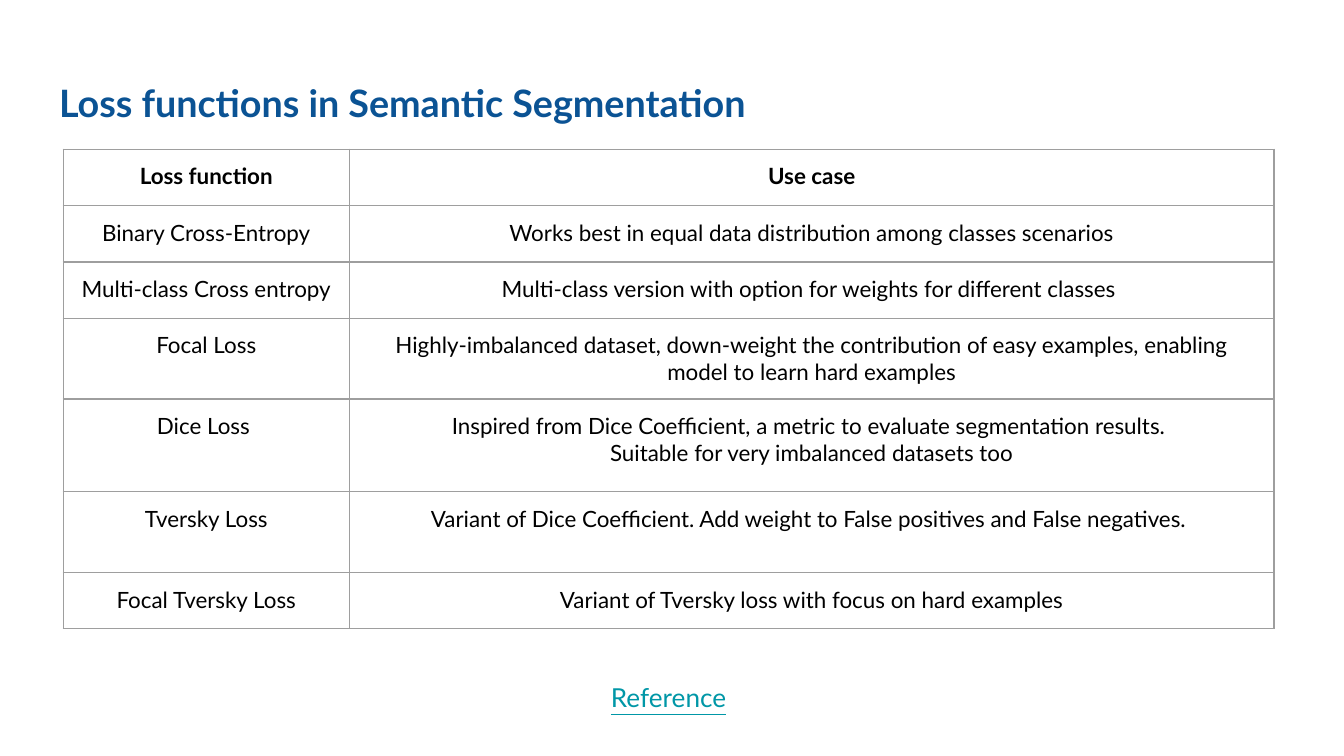
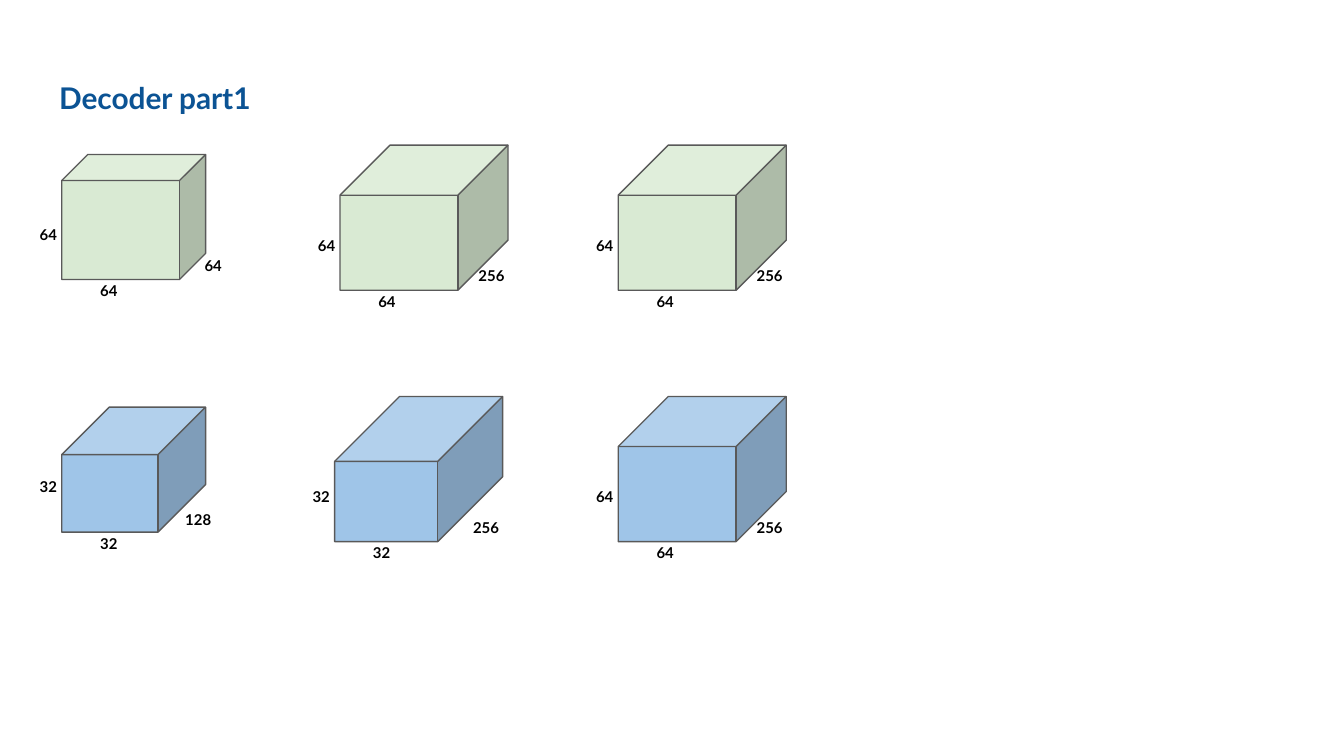
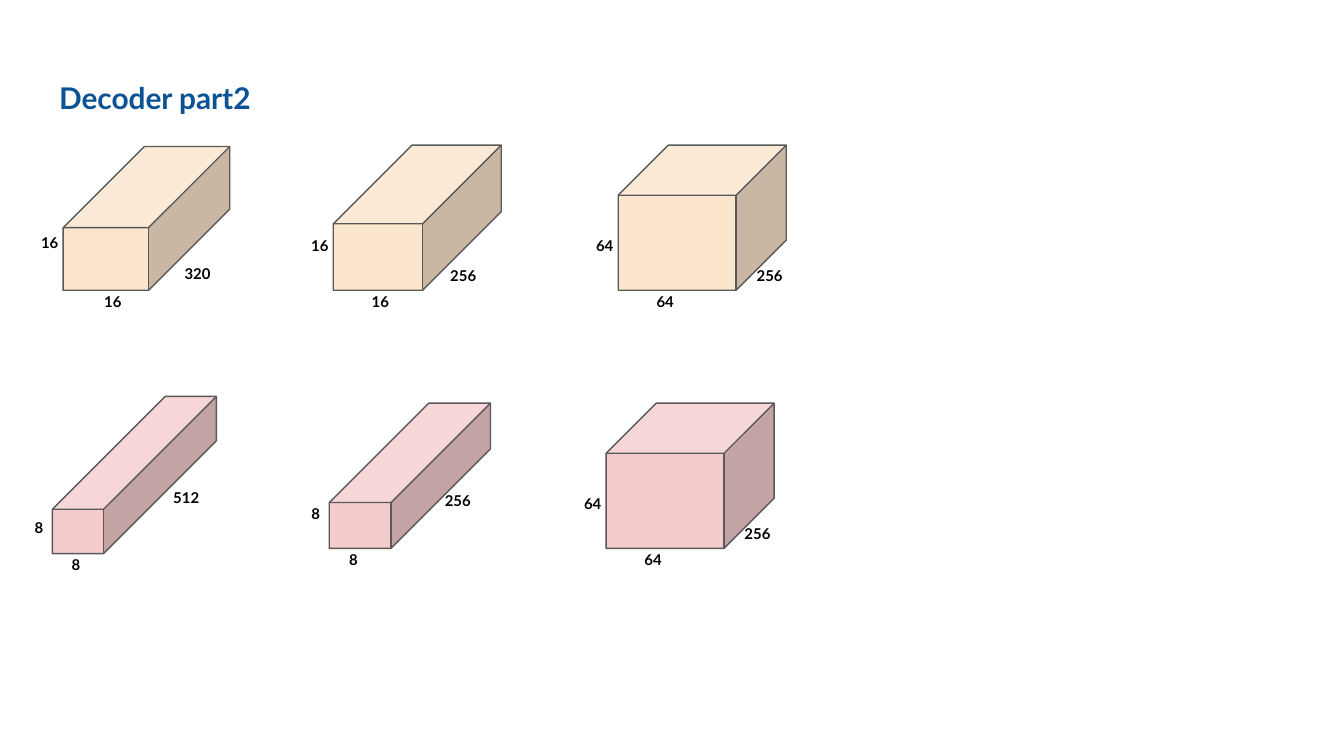
from dataclasses import dataclass

from lxml.etree import SubElement
from pptx import Presentation
from pptx.dml.color import RGBColor
from pptx.enum.shapes import MSO_SHAPE
from pptx.enum.text import MSO_ANCHOR, MSO_AUTO_SIZE, PP_ALIGN
from pptx.oxml.ns import qn
from pptx.util import Inches, Pt

FONT = "Lato"
NAVY = RGBColor(0x0B, 0x53, 0x94)
TEAL = RGBColor(0x00, 0x97, 0xA7)
BLACK = RGBColor(0, 0, 0)
EDGE = RGBColor(0x59, 0x59, 0x59)
RULE = RGBColor(0x9E, 0x9E, 0x9E)
GREEN = RGBColor(0xD9, 0xEA, 0xD3)
BLUE = RGBColor(0x9F, 0xC5, 0xE8)
PEACH = RGBColor(0xFC, 0xE5, 0xCD)
PINK = RGBColor(0xF4, 0xCC, 0xCC)

COLS = [2.13, 6.88]
ROWS = [0.42, 0.42, 0.42, 0.6, 0.69, 0.6, 0.42]
LOSSES = [
    ("Loss function", "Use case"),
    ("Binary Cross-Entropy",
     "Works best in equal data distribution among classes scenarios"),
    ("Multi-class Cross entropy",
     "Multi-class version with option for weights for different classes "),
    ("Focal Loss",
     "Highly-imbalanced dataset, down-weight the contribution of easy "
     "examples, enabling model to learn hard examples"),
    ("Dice Loss ",
     "Inspired from Dice Coefficient, a metric to evaluate segmentation "
     "results. \nSuitable for very imbalanced datasets too"),
    ("Tversky Loss",
     "Variant of Dice Coefficient. Add weight to False positives and "
     "False negatives. "),
    (" Focal Tversky Loss ",
     "Variant of Tversky loss with focus on hard examples"),
]


@dataclass
class Block:
    left: float
    top: float
    side: int
    depth: int
    fill: RGBColor
    slant: float = 0.345
    width: float = 1.25
    height: float = 1.08
    rise: float = 0.47
    foot: float = 0.18
    deep_x: float = 0.9
    deep_y: float = 0.24
    label: float = 0.34
    align: PP_ALIGN = PP_ALIGN.CENTER


PART_ONE = [
    Block(0.46, 1.15, 64, 64, GREEN, 0.208, 1.07, 0.93),
    Block(2.53, 1.08, 64, 256, GREEN),
    Block(4.6, 1.08, 64, 256, GREEN),
    Block(0.46, 3.03, 32, 128, BLUE, 0.38, 1.07, 0.93,
          deep_x=0.82, deep_y=0.23, align=PP_ALIGN.LEFT),
    Block(2.49, 2.95, 32, 256, BLUE, 0.447),
    Block(4.6, 2.95, 64, 256, BLUE),
]
PART_TWO = [
    Block(0.47, 1.09, 16, 320, PEACH, 0.565, 1.24, 1.07, rise=0.49,
          foot=0.19, deep_x=0.76, deep_y=0.26, label=0.36),
    Block(2.48, 1.08, 16, 256, PEACH, 0.542, deep_x=0.74),
    Block(4.6, 1.08, 64, 256, PEACH),
    Block(0.39, 2.95, 8, 512, PINK, 0.718, 1.22, 1.17, rise=0.33,
          foot=-0.02, deep_x=0.8, deep_y=0.55, label=0.39,
          align=PP_ALIGN.LEFT),
    Block(2.45, 3, 8, 256, PINK, 0.685, 1.2, rise=0.39, foot=0.01,
          deep_x=0.73, deep_y=0.49),
    Block(4.51, 3, 64, 256, PINK),
]


def set_text(frame, text, size, color, bold=False, align=PP_ALIGN.CENTER):
    frame.text = text
    for para in frame.paragraphs:
        para.alignment = align
        font = para.font
        font.name = FONT
        font.size = Pt(size)
        font.bold = bold
        font.color.rgb = color


def set_frame(frame, fit):
    frame.word_wrap = True
    frame.auto_size = fit
    frame.vertical_anchor = MSO_ANCHOR.TOP
    frame.margin_left = frame.margin_right = Inches(0.1)
    frame.margin_top = frame.margin_bottom = Inches(0.1)


def add_page(deck, title, size, width, height):
    page = deck.slides.add_slide(deck.slide_layouts[5])
    head = page.shapes.title
    head.left, head.top = Inches(0.34), Inches(0.49)
    head.width, head.height = Inches(width), Inches(height)
    set_frame(head.text_frame, MSO_AUTO_SIZE.NONE)
    set_text(head.text_frame, title, size, NAVY, True, PP_ALIGN.LEFT)
    return page


def add_label(shapes, text, left, top, width, height=0.34, size=8,
              color=BLACK, bold=True, align=PP_ALIGN.CENTER):
    box = shapes.add_textbox(
        Inches(left), Inches(top), Inches(width), Inches(height))
    set_frame(box.text_frame, MSO_AUTO_SIZE.SHAPE_TO_FIT_TEXT)
    set_text(box.text_frame, text, size, color, bold, align)
    return box


def add_rules(cell):
    props = cell._tc.get_or_add_tcPr()
    for spot, tag in enumerate(("a:lnL", "a:lnR", "a:lnT", "a:lnB")):
        line = SubElement(props, qn(tag), w=str(Pt(0.75)))
        fill = SubElement(line, qn("a:solidFill"))
        SubElement(fill, qn("a:srgbClr"), val=str(RULE))
        props.insert(spot, line)


def add_grid(page):
    grid = page.shapes.add_table(
        len(ROWS), len(COLS), Inches(0.47), Inches(1.11),
        Inches(sum(COLS)), Inches(sum(ROWS))).table
    grid.first_row = grid.horz_banding = False
    for col, width in zip(grid.columns, COLS):
        col.width = Inches(width)
    for row, height, texts in zip(grid.rows, ROWS, LOSSES):
        row.height = Inches(height)
        for cell, text in zip(row.cells, texts):
            cell.fill.background()
            cell.margin_left = cell.margin_right = Inches(0.1)
            cell.margin_top = cell.margin_bottom = Inches(0.1)
            set_text(cell.text_frame, text, 12, BLACK, texts is LOSSES[0])
            add_rules(cell)


def add_block(page, block):
    shapes = page.shapes.add_group_shape().shapes
    cube = shapes.add_shape(
        MSO_SHAPE.CUBE, Inches(block.left), Inches(block.top),
        Inches(block.width), Inches(block.height))
    cube.adjustments[0] = block.slant
    cube.shadow.inherit = False
    cube.fill.solid()
    cube.fill.fore_color.rgb = block.fill
    cube.line.color.rgb = EDGE
    cube.line.width = Pt(0.75)

    base = block.top + block.height
    side = str(block.side)
    add_label(shapes, side, block.left - 0.1 - block.label / 2,
              base - block.rise, block.label)
    add_label(shapes, side, block.left + block.foot, base - 0.05, block.label)
    add_label(shapes, str(block.depth), block.left + block.deep_x,
              base - block.deep_y, block.label * 4 / 3, align=block.align)


def main():
    deck = Presentation()
    deck.slide_width = Inches(10)
    deck.slide_height = deck.slide_width * 9 // 16

    page = add_page(deck, "Loss functions in Semantic Segmentation",
                    20.2, 9.32, 0.63)
    add_grid(page)
    link = add_label(page.shapes, "Reference", 4.25, 4.97, 1.45, 0.44,
                     14, TEAL, False)
    link.text_frame.paragraphs[0].font.underline = True

    parts = [("Decoder part1", PART_ONE), ("Decoder part2", PART_TWO)]
    for title, blocks in parts:
        page = add_page(deck, title, 16, 4.15, 0.49)
        for block in blocks:
            add_block(page, block)

    deck.save("out.pptx")


if __name__ == "__main__":
    main()
